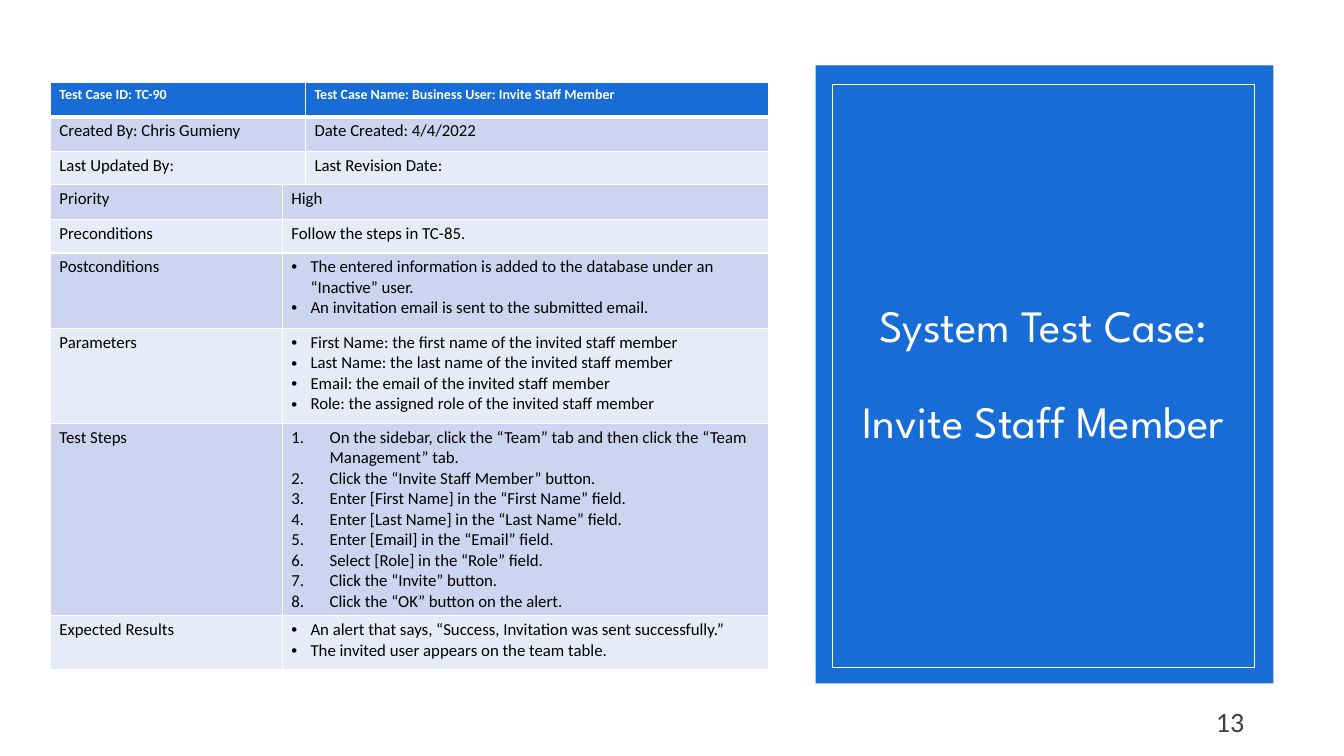
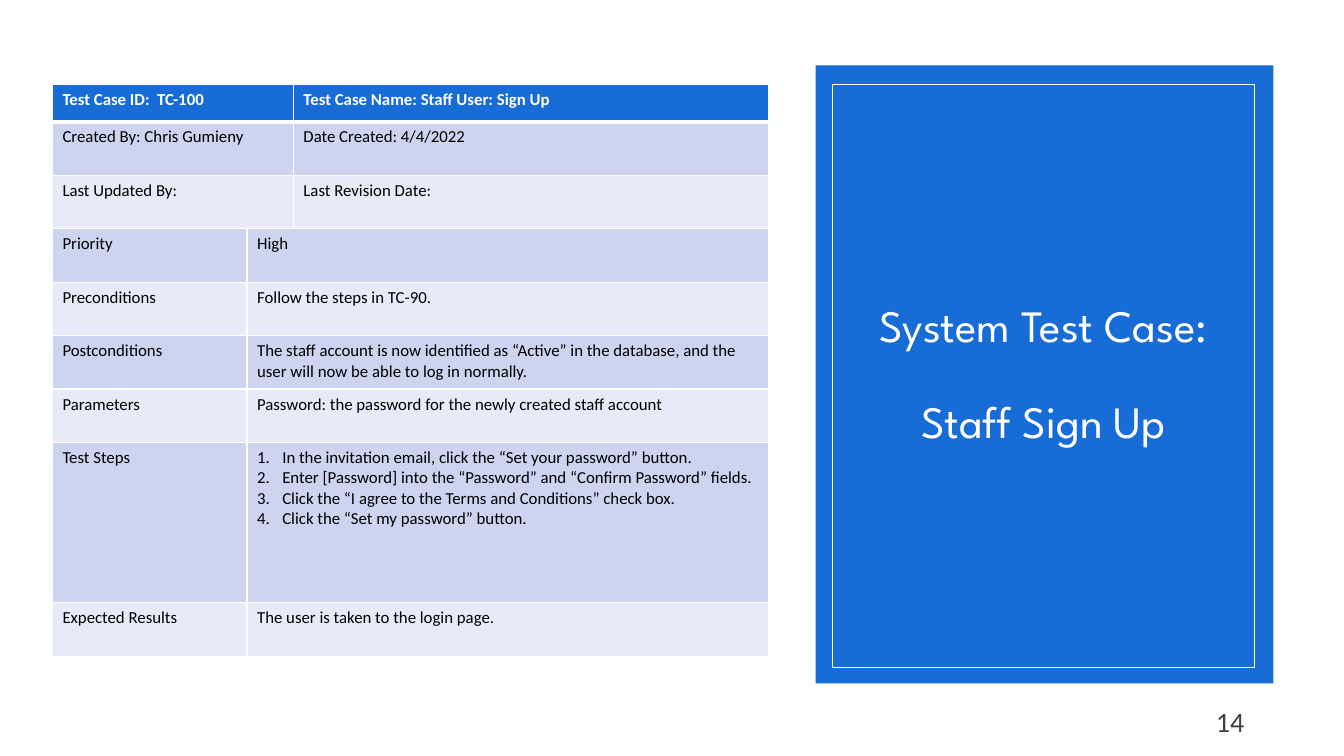
import pptx
import pptx.dml.color
import pptx.enum.text
import pptx.oxml
import pptx.oxml.ns
import pptx.util
from pptx.util import Inches

COLORS = {
    "blue": "176CD5",
    "dark_band": "CCD4EF",
    "light_band": "E8EBF7",
    "white": "FFFFFF",
    "black": "000000",
    "number": "404040",
}
BODY_FONT = "Calibri"
TITLE_FONT = "League Spartan"
TITLE_LEAD = "System Test Case:"
PANEL = (8.09, 0.65, 4.54, 6.13)
FRAME = (8.26, 0.84, 4.18, 5.78)
NUMBER_BOX = (11.52, 6.97, 0.92, 0.4)
SPLIT_ROWS = 3

TEST_CASES = [
    {
        "title": "Invite Staff Member",
        "number": 13,
        "position": (0.5, 0.82),
        "columns": [2.3, 0.23, 4.59],
        "heights": [0.34, 0.34, 0.33, 0.35, 0.33, 0.75, 0.94, 1.91, 0.53],
        "margins": (0.09, 0.04),
        "header_size": 10,
        "step_indent": 0.38,
        "rows": [
            ("Test Case ID: TC-90", "Test Case Name: Business User: Invite Staff Member"),
            ("Created By: Chris Gumieny", "Date Created: 4/4/2022"),
            ("Last Updated By:", "Last Revision Date:"),
            ("Priority", "High"),
            ("Preconditions", "Follow the steps in TC-85."),
            ("Postconditions", [
                "The entered information is added to the database under an “Inactive” user.",
                "An invitation email is sent to the submitted email.",
            ]),
            ("Parameters", [
                "First Name: the first name of the invited staff member",
                "Last Name: the last name of the invited staff member",
                "Email: the email of the invited staff member",
                "Role: the assigned role of the invited staff member",
            ]),
            ("Test Steps", [
                "On the sidebar, click the “Team” tab and then click the “Team Management” tab.",
                "Click the “Invite Staff Member” button.",
                "Enter [First Name] in the “First Name” field.",
                "Enter [Last Name] in the “Last Name” field.",
                "Enter [Email] in the “Email” field.",
                "Select [Role] in the “Role” field.",
                "Click the “Invite” button.",
                "Click the “OK” button on the alert.",
            ]),
            ("Expected Results", [
                "An alert that says, “Success, Invitation was sent successfully.”",
                "The invited user appears on the team table.",
            ]),
        ],
    },
    {
        "title": "Staff Sign Up",
        "number": 14,
        "position": (0.52, 0.84),
        "columns": [1.93, 0.46, 4.71],
        "heights": [0.37] + [0.53] * 6 + [1.59, 0.53],
        "margins": (0.1, 0.05),
        "header_size": 12,
        "step_indent": 0.25,
        "rows": [
            ("Test Case ID:  TC-100", "Test Case Name: Staff User: Sign Up"),
            ("Created By: Chris Gumieny", "Date Created: 4/4/2022"),
            ("Last Updated By:", "Last Revision Date:"),
            ("Priority", "High"),
            ("Preconditions", "Follow the steps in TC-90."),
            ("Postconditions",
             "The staff account is now identified as “Active” in the database, "
             "and the user will now be able to log in normally."),
            ("Parameters", "Password: the password for the newly created staff account"),
            ("Test Steps", [
                "In the invitation email, click the “Set your password” button.",
                "Enter [Password] into the “Password” and “Confirm Password” fields.",
                "Click the “I agree to the Terms and Conditions” check box.",
                "Click the “Set my password” button.",
            ]),
            ("Expected Results", "The user is taken to the login page."),
        ],
    },
]


def color(name):
    return pptx.dml.color.RGBColor.from_string(COLORS[name])


def place(shape, box):
    shape.left, shape.top, shape.width, shape.height = map(Inches, box)


def format_text(text_frame, font_name, size, color_name, bold=False):
    for paragraph in text_frame.paragraphs:
        for run in paragraph.runs:
            run.font.name = font_name
            run.font.size = pptx.util.Pt(size)
            run.font.bold = bold
            run.font.color.rgb = color(color_name)


def add_list_marker(paragraph, indent, numbered):
    properties = paragraph._p.get_or_add_pPr()
    properties.set("marL", str(Inches(indent)))
    properties.set("indent", str(-Inches(indent)))
    tag = "a:buAutoNum" if numbered else "a:buChar"
    if not numbered:
        font = pptx.oxml.parse_xml(
            f'<a:buFont {pptx.oxml.ns.nsdecls("a")} typeface="Arial"/>')
        properties.append(font)
    setting = 'type="arabicPeriod"' if numbered else 'char="•"'
    properties.append(pptx.oxml.parse_xml(
        f'<{tag} {pptx.oxml.ns.nsdecls("a")} {setting}/>'))


def add_borders(cell, row_index):
    top = 3 if row_index == 1 else 1
    bottom = 3 if row_index == 0 else 1
    widths = {"lnL": 1, "lnR": 1, "lnT": top, "lnB": bottom}
    properties = cell._tc.get_or_add_tcPr()
    for position, (tag, width) in enumerate(widths.items()):
        properties.insert(position, pptx.oxml.parse_xml(
            f'<a:{tag} {pptx.oxml.ns.nsdecls("a")} w="{pptx.util.Pt(width)}">'
            f'<a:solidFill><a:srgbClr val="{COLORS["white"]}"/></a:solidFill></a:{tag}>'))


def fill_cell(cell, content, row_index, label, case):
    is_list = isinstance(content, list)
    cell.text_frame.text = "\n".join(content) if is_list else content
    if is_list:
        numbered = label == "Test Steps"
        indent = case["step_indent"] if numbered else 0.19
        for paragraph in cell.text_frame.paragraphs:
            add_list_marker(paragraph, indent, numbered)
    header = row_index == 0
    format_text(cell.text_frame, BODY_FONT, case["header_size"] if header else 12,
                "white" if header else "black", header)
    horizontal, vertical = map(Inches, case["margins"])
    cell.margin_left = cell.margin_right = horizontal
    cell.margin_top = cell.margin_bottom = vertical


def add_case_table(slide, case):
    rows, columns, heights = case["rows"], case["columns"], case["heights"]
    box = (*case["position"], sum(columns), sum(heights))
    table = slide.shapes.add_table(len(rows), len(columns), *map(Inches, box)).table
    for column, width in zip(table.columns, columns):
        column.width = Inches(width)
    for row_index, (label, content) in enumerate(rows):
        table.rows[row_index].height = Inches(heights[row_index])
        band = "blue" if row_index == 0 else "dark_band" if row_index % 2 else "light_band"
        for column_index in range(len(columns)):
            cell = table.cell(row_index, column_index)
            cell.fill.solid()
            cell.fill.fore_color.rgb = color(band)
            add_borders(cell, row_index)
        split = row_index < SPLIT_ROWS
        merge_start = 0 if split else 1
        table.cell(row_index, merge_start).merge(table.cell(row_index, merge_start + 1))
        fill_cell(table.cell(row_index, 0), label, row_index, label, case)
        fill_cell(table.cell(row_index, 2 if split else 1), content, row_index, label, case)


def add_panel(slide):
    panel = slide.shapes.add_shape(
        pptx.enum.shapes.MSO_SHAPE.RECTANGLE, *map(Inches, PANEL))
    panel.shadow.inherit = False
    panel.fill.solid()
    panel.fill.fore_color.rgb = color("blue")
    panel.line.fill.background()


def set_title(slide, text):
    title = slide.shapes.title
    title.element.getparent().append(title.element)
    place(title, FRAME)
    title.line.color.rgb = color("white")
    title.line.width = pptx.util.Pt(0.5)
    text_frame = title.text_frame
    text_frame.text = f"{TITLE_LEAD}\n{text}"
    text_frame.word_wrap = True
    text_frame.auto_size = pptx.enum.text.MSO_AUTO_SIZE.NONE
    text_frame.vertical_anchor = pptx.enum.text.MSO_ANCHOR.MIDDLE
    for paragraph in text_frame.paragraphs:
        paragraph.alignment = pptx.enum.text.PP_ALIGN.CENTER
        paragraph.line_spacing = 0.9
    text_frame.paragraphs[1].space_before = pptx.util.Pt(34)
    format_text(text_frame, TITLE_FONT, 32, "white")


def add_slide_number(slide, number):
    text_frame = slide.shapes.add_textbox(*map(Inches, NUMBER_BOX)).text_frame
    text_frame.text = str(number)
    text_frame.word_wrap = True
    text_frame.vertical_anchor = pptx.enum.text.MSO_ANCHOR.BOTTOM
    text_frame.paragraphs[0].alignment = pptx.enum.text.PP_ALIGN.RIGHT
    format_text(text_frame, BODY_FONT, 20, "number")


def main():
    presentation = pptx.Presentation()
    presentation.slide_width = Inches(13.33)
    presentation.slide_height = Inches(7.5)
    for case in TEST_CASES:
        slide = presentation.slides.add_slide(presentation.slide_layouts[5])
        add_panel(slide)
        add_case_table(slide, case)
        set_title(slide, case["title"])
        add_slide_number(slide, case["number"])
    presentation.save("out.pptx")


if __name__ == "__main__":
    import pptx.enum.shapes
    main()
